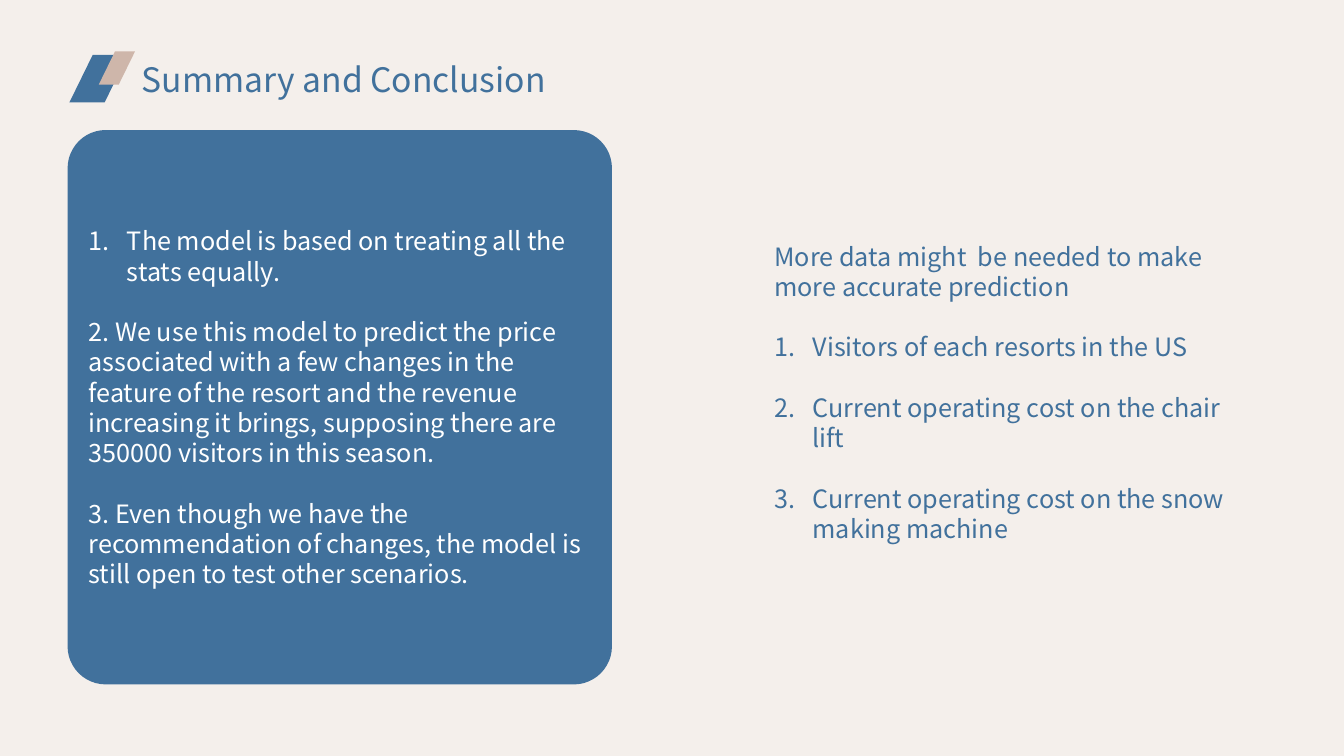
from lxml import etree
from pptx import Presentation
from pptx.dml.color import RGBColor
from pptx.enum.shapes import MSO_SHAPE
from pptx.enum.text import MSO_ANCHOR, PP_ALIGN
from pptx.oxml.ns import qn
from pptx.util import Inches, Pt

ROUNDED = MSO_SHAPE.ROUNDED_RECTANGLE
PARALLELOGRAM = MSO_SHAPE.PARALLELOGRAM
TOP, MIDDLE = MSO_ANCHOR.TOP, MSO_ANCHOR.MIDDLE
LEFT = PP_ALIGN.LEFT

COLORS = {"background": "F4EFEB", "blue": "41719C", "tan": "CEB6AA", "white": "FFFFFF"}
FONT = "Noto Sans CJK SC"
WIDTH, HEIGHT = 13.33, 7.5
BODY_SIZE, TITLE_SIZE = 18, 24
PARAGRAPH_GAP = 21.6
NUMBER_INDENT = 0.38
CORNER, SLANT = 0.07, 0.49

# Each paragraph: (text, is numbered automatically)
CONCLUSIONS = [
    ("The model is based on treating all the stats equally.", True),
    ("2. We use this model to predict the price associated with a few changes in the "
     "feature of the resort and the revenue increasing it brings, supposing there are "
     "350000 visitors in this season.", False),
    ("3. Even though we have the recommendation of changes, the model is still open to "
     "test other scenarios.", False),
]
DATA_NEEDS = [
    ("More data might  be needed to make more accurate prediction", False),
    ("Visitors of each resorts in the US", True),
    ("Current operating cost on the chair lift", True),
    ("Current operating cost on the snow making machine", True),
]


def share_box(left, top, width, height):
    """Turn shares of the slide's size into lengths."""
    return (Inches(WIDTH * left), Inches(HEIGHT * top),
            Inches(WIDTH * width), Inches(HEIGHT * height))


def add_plain_shape(shapes, kind, box, adjustment, fill=None):
    shape = shapes.add_shape(kind, *share_box(*box))
    shape.adjustments[0] = adjustment
    shape.shadow.inherit = False
    shape.line.fill.background()
    if fill:
        shape.fill.solid()
        shape.fill.fore_color.rgb = RGBColor.from_string(COLORS[fill])
    else:
        shape.fill.background()
    return shape


def format_runs(paragraph, size, color):
    for run in paragraph.runs:
        run.font.name = FONT
        run.font.size = Pt(size)
        run.font.color.rgb = RGBColor.from_string(COLORS[color])
        east_asian = etree.SubElement(run.font._element, qn("a:ea"))
        east_asian.set("typeface", FONT)


def number_paragraph(paragraph):
    properties = paragraph._p.get_or_add_pPr()
    properties.set("marL", str(Inches(NUMBER_INDENT)))
    properties.set("indent", str(-Inches(NUMBER_INDENT)))
    numbering = etree.SubElement(properties, qn("a:buAutoNum"))
    numbering.set("type", "arabicPeriod")


def add_text_panel(slide, box, paragraphs, color, anchor, fill=None):
    panel = add_plain_shape(slide.shapes, ROUNDED, box, CORNER, fill)
    frame = panel.text_frame
    frame.word_wrap = True
    frame.vertical_anchor = anchor
    frame.text = "\n".join(text for text, _ in paragraphs)
    for paragraph, (_, numbered) in zip(frame.paragraphs, paragraphs):
        paragraph.alignment = LEFT
        if paragraph.text != paragraphs[-1][0]:
            paragraph.space_after = Pt(PARAGRAPH_GAP)
        if numbered:
            number_paragraph(paragraph)
        format_runs(paragraph, BODY_SIZE, color)


def add_title(slide, text, box):
    frame = slide.shapes.add_textbox(*share_box(*box)).text_frame
    frame.word_wrap = False
    frame.text = text
    format_runs(frame.paragraphs[0], TITLE_SIZE, "blue")


def add_title_mark(slide):
    group = slide.shapes.add_group_shape()
    add_plain_shape(group.shapes, PARALLELOGRAM, (0.0517, 0.0727, 0.0435, 0.0627), SLANT, "blue")
    add_plain_shape(group.shapes, PARALLELOGRAM, (0.0735, 0.068, 0.027, 0.044), SLANT, "tan")


def main():
    presentation = Presentation()
    presentation.slide_width = Inches(WIDTH)
    presentation.slide_height = Inches(HEIGHT)
    slide = presentation.slides.add_slide(presentation.slide_layouts[6])
    slide.background.fill.solid()
    slide.background.fill.fore_color.rgb = RGBColor.from_string(COLORS["background"])

    add_text_panel(slide, (0.0503, 0.172, 0.405, 0.7333), CONCLUSIONS, "white", MIDDLE, "blue")
    add_title_mark(slide)
    add_title(slide, "Summary and Conclusion", (0.0983, 0.0707, 0.325, 0.0667))
    add_text_panel(slide, (0.5626, 0.3013, 0.373, 0.5333), DATA_NEEDS, "blue", TOP)
    presentation.save("out.pptx")


if __name__ == "__main__":
    main()
